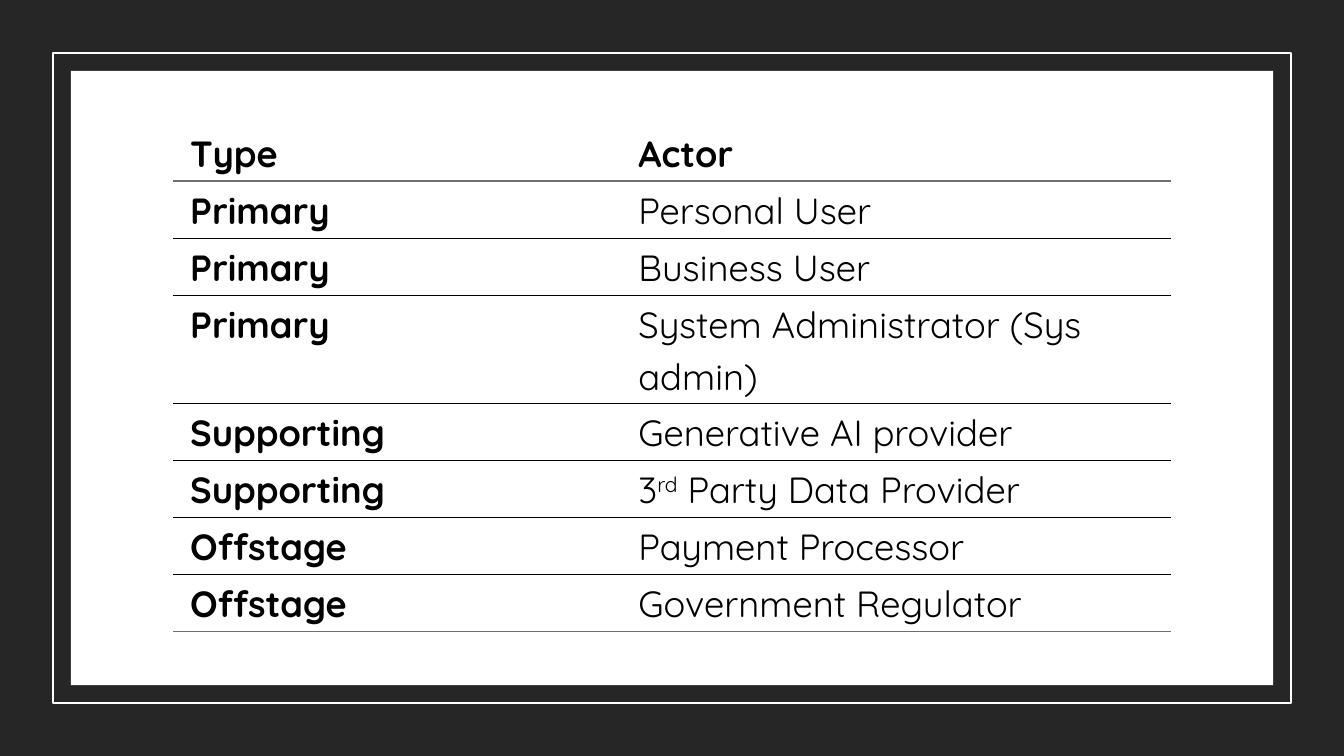
import lxml.etree
import pptx
import pptx.dml.color
import pptx.enum.shapes
import pptx.oxml.ns
import pptx.util

COLORS = {"dark": "262626", "white": "FFFFFF", "black": "000000", "gray": "6F6F6F"}
ACTORS = [
    ("Type", "Actor"),
    ("Primary", "Personal User"),
    ("Primary", "Business User"),
    ("Primary", "System Administrator (Sys admin)"),
    ("Supporting", "Generative AI provider"),
    ("Supporting", ("3", "rd", " Party Data Provider")),
    ("Offstage", "Payment Processor"),
    ("Offstage", "Government Regulator"),
]
ROW_HEIGHT = 40.75
WRAPPED_ROW = 3
WRAPPED_HEIGHT = 77.1


class SlideBuilder:
    font_name = "Quicksand"
    font_size = 26
    line_spacing = 1.15
    cell_margin = 12.2

    def __init__(self, slide):
        self.slide = slide

    def color(self, name):
        return pptx.dml.color.RGBColor.from_string(COLORS[name])

    def background(self, name):
        fill = self.slide.background.fill
        fill.solid()
        fill.fore_color.rgb = self.color(name)

    def rectangle(self, left, top, width, height, fill=None, line=None):
        shape = self.slide.shapes.add_shape(
            pptx.enum.shapes.MSO_SHAPE.RECTANGLE,
            *map(pptx.util.Pt, (left, top, width, height)))
        shape.shadow.inherit = False
        if fill:
            shape.fill.solid()
            shape.fill.fore_color.rgb = self.color(fill)
        else:
            shape.fill.background()
        if line:
            shape.line.color.rgb = self.color(line)
            shape.line.width = pptx.util.Pt(1.5)
        else:
            shape.line.fill.background()

    def border(self, cell, side, line):
        properties = cell._tc.get_or_add_tcPr()
        qn = pptx.oxml.ns.qn
        element = lxml.etree.SubElement(properties, qn(f"a:ln{side}"))
        if line is None:
            lxml.etree.SubElement(element, qn("a:noFill"))
            return
        color, width = line
        element.set("w", str(pptx.util.Pt(width)))
        fill = lxml.etree.SubElement(element, qn("a:solidFill"))
        lxml.etree.SubElement(fill, qn("a:srgbClr")).set("val", COLORS[color])

    def cell(self, cell, content, bold, top_line, bottom_line):
        cell.margin_left = cell.margin_right = pptx.util.Pt(self.cell_margin)
        cell.margin_top = cell.margin_bottom = 0
        for side, line in zip("LRTB", (None, None, top_line, bottom_line)):
            self.border(cell, side, line)
        cell.fill.background()
        paragraph = cell.text_frame.paragraphs[0]
        paragraph.line_spacing = self.line_spacing
        font = paragraph.font
        font.name = self.font_name
        font.size = pptx.util.Pt(self.font_size)
        font.bold = bold
        font.color.rgb = self.color("black")
        parts = (content,) if isinstance(content, str) else content
        for index, text in enumerate(parts):
            run = paragraph.add_run()
            run.text = text
            if index == 1:
                run._r.get_or_add_rPr().set("baseline", "30000")

    def table(self, left, top, column_widths, row_heights, rows):
        frame = self.slide.shapes.add_table(
            len(rows), len(column_widths), *map(
                pptx.util.Pt, (left, top, sum(column_widths), sum(row_heights))))
        table = frame.table
        table.first_row = table.horz_banding = False
        for column, width in zip(table.columns, column_widths):
            column.width = pptx.util.Pt(width)
        thin = ("black", 0.25)
        lines = [None, ("gray", 1.5)] + [thin] * (len(rows) - 2) + [("gray", 1)]
        for row_index, contents in enumerate(rows):
            table.rows[row_index].height = pptx.util.Pt(row_heights[row_index])
            for column_index, content in enumerate(contents):
                self.cell(table.cell(row_index, column_index), content,
                          row_index == 0 or column_index == 0,
                          lines[row_index], lines[row_index + 1])


def main():
    presentation = pptx.Presentation()
    presentation.slide_width = pptx.util.Pt(960)
    presentation.slide_height = pptx.util.Pt(540)
    builder = SlideBuilder(presentation.slides.add_slide(presentation.slide_layouts[6]))
    builder.background("dark")
    builder.rectangle(37.6, 37.9, 884.8, 464.2, line="white")
    builder.rectangle(50.6, 50.6, 858.8, 438.8, fill="white")
    row_heights = [WRAPPED_HEIGHT if index == WRAPPED_ROW else ROW_HEIGHT
                   for index in range(len(ACTORS))]
    builder.table(123.6, 88.6, (320.2, 392.6), row_heights, ACTORS)
    presentation.save("out.pptx")


if __name__ == "__main__":
    main()
